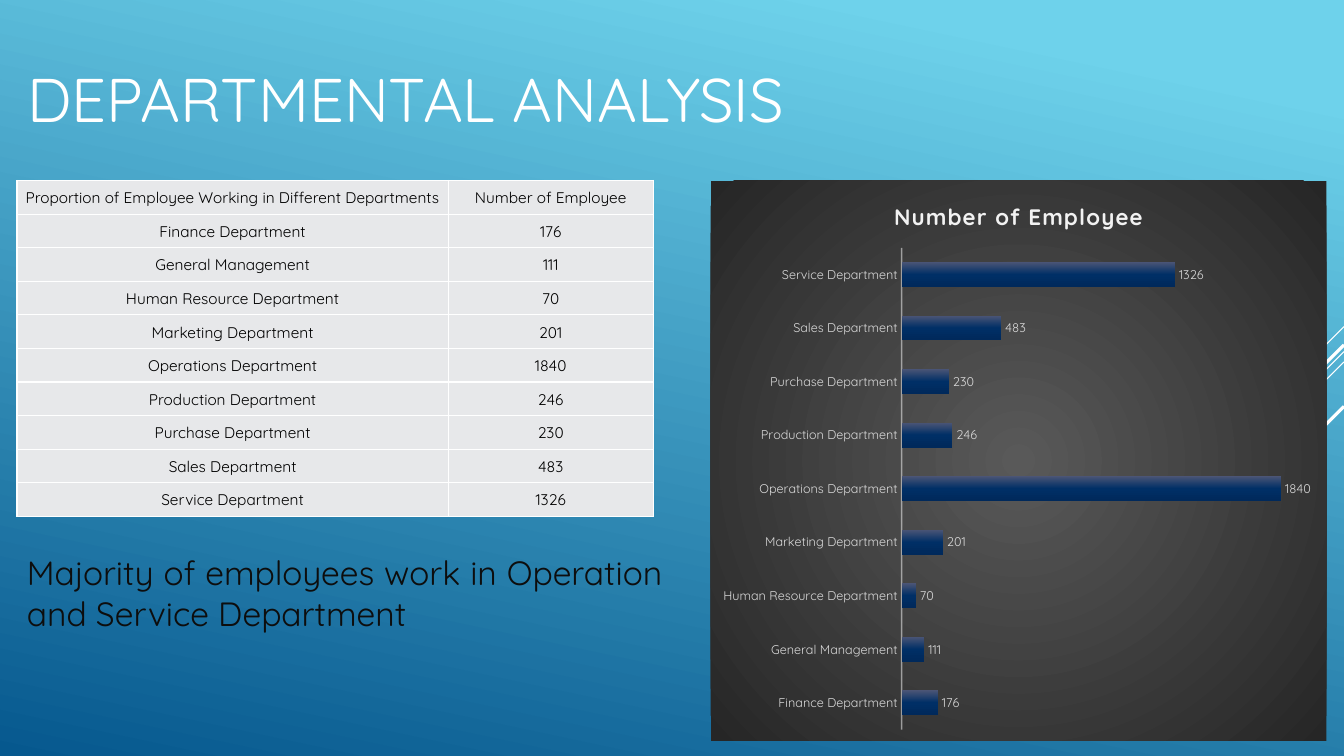
from dataclasses import dataclass

from lxml.etree import SubElement
from pptx import Presentation
from pptx.chart.data import CategoryChartData
from pptx.dml.color import RGBColor
from pptx.enum.chart import XL_CHART_TYPE as ChartType
from pptx.enum.chart import XL_LABEL_POSITION as LabelPos
from pptx.enum.chart import XL_TICK_MARK as Tick
from pptx.enum.shapes import MSO_CONNECTOR as Connector
from pptx.enum.text import MSO_ANCHOR as Anchor
from pptx.enum.text import MSO_AUTO_SIZE as AutoSize
from pptx.enum.text import PP_ALIGN as Align
from pptx.oxml.ns import qn
from pptx.util import Cm, Pt


@dataclass(frozen=True)
class Theme:
    font: str = "Quicksand"
    white: str = "FFFFFF"
    black: str = "000000"
    body: str = "0D0D0D"
    cell: str = "E7E8EA"
    chart_title: str = "F2F2F2"
    chart_text: str = "D9D9D9"
    backdrop: tuple = ((10, "6ED2EB"), (100, "06588E"))
    panel: tuple = ((0, "595959"), (100, "262626"))
    bar: tuple = ((0, "4B5576"), (50, "002F66"), (100, "00295B"))
    title_pt: float = 44
    body_pt: float = 24
    table_pt: float = 11
    chart_title_pt: float = 16
    chart_pt: float = 10
    label_pt: float = 9


THEME = Theme()
WIDTH, HEIGHT = 33.87, 19.05
HEADERS = ("Proportion of Employee Working in Different Departments", "Number of Employee")
STAFF = {
    "Finance Department": 176,
    "General Management": 111,
    "Human Resource Department": 70,
    "Marketing Department": 201,
    "Operations Department": 1840,
    "Production Department": 246,
    "Purchase Department": 230,
    "Sales Department": 483,
    "Service Department": 1326,
}


def style(font, size, color, bold=False):
    font.name, font.size, font.bold = THEME.font, Pt(size), bold
    font.color.rgb = RGBColor.from_string(color)


def node(parent, tag, **attrs):
    return SubElement(parent, qn(tag), {k: str(v) for k, v in attrs.items()})


def add_gradient(holder, stops, angle=None):
    for solid in holder.findall(qn("a:solidFill")):
        holder.remove(solid)
    grad = node(holder, "a:gradFill", rotWithShape=1)
    holder.insert(0, grad)
    gs_list = node(grad, "a:gsLst")
    for pos, color in stops:
        node(node(gs_list, "a:gs", pos=pos * 1000), "a:srgbClr", val=color)
    if angle is None:
        circle = node(grad, "a:path", path="circle")
        node(circle, "a:fillToRect", l=50000, t=50000, r=50000, b=50000)
    else:
        node(grad, "a:lin", ang=angle * 60000, scaled=0)


def add_background(slide):
    slide.background.fill.solid()
    add_gradient(slide._element.find(".//" + qn("p:bgPr")), THEME.backdrop, 102)


def add_diagonals(slide, right):
    rays = ((8.23, 2.54, 0.75), (8.86, 8.28, 0.75), (9.12, 5.26, 0.75),
            (8.69, 4.85, 2.25), (10.24, 3.53, 2.25))
    for top, reach, weight in rays:
        line = slide.shapes.add_connector(
            Connector.STRAIGHT, Cm(right), Cm(top), Cm(right - reach), Cm(top + reach))
        line.line.color.rgb = RGBColor.from_string(THEME.white)
        line.line.width = Pt(weight)
        node(line._element.spPr, "a:effectLst")


def add_title(slide, x, y, w, h):
    sp = slide.shapes.title
    sp.left, sp.top, sp.width, sp.height = Cm(x), Cm(y), Cm(w), Cm(h)
    tf = sp.text_frame
    tf.text = "DEPARTMENTAL ANALYSIS"
    tf.auto_size, tf.vertical_anchor = AutoSize.NONE, Anchor.MIDDLE
    p = tf.paragraphs[0]
    p.alignment = Align.LEFT
    style(p.font, THEME.title_pt, THEME.white)


def fill_cell(cell, text):
    cell.text = text
    cell.vertical_anchor = Anchor.MIDDLE
    cell.margin_left = cell.margin_right = cell.margin_top = Cm(0.03)
    cell.margin_bottom = 0
    p = cell.text_frame.paragraphs[0]
    p.alignment = Align.CENTER
    style(p.font, THEME.table_pt, THEME.black)
    tc_pr = cell._tc.get_or_add_tcPr()
    for side in ("a:lnL", "a:lnR", "a:lnT", "a:lnB"):
        border = node(tc_pr, side, w=Pt(1))
        node(node(border, "a:solidFill"), "a:srgbClr", val=THEME.white)
    cell.fill.solid()
    cell.fill.fore_color.rgb = RGBColor.from_string(THEME.cell)


def add_staff_table(slide, x, y, w, h):
    rows = [HEADERS, *STAFF.items()]
    frame = slide.shapes.add_table(len(rows), 2, Cm(x), Cm(y), Cm(w), Cm(h))
    table = frame.table
    table.first_row = table.horz_banding = False
    first_col = 10.87
    table.columns[0].width = Cm(first_col)
    table.columns[1].width = Cm(w - first_col)
    for row, values in zip(table.rows, rows):
        row.height = Cm(h / len(rows))
        for cell, value in zip(row.cells, values):
            fill_cell(cell, str(value))


def place_plot(chart, x, y, w, h):
    plot_area = chart._chartSpace.find(".//" + qn("c:plotArea"))
    for old in plot_area.findall(qn("c:layout")):
        plot_area.remove(old)
    layout = node(plot_area, "c:layout")
    plot_area.insert(0, layout)
    manual = node(layout, "c:manualLayout")
    node(manual, "c:layoutTarget", val="inner")
    for tag in ("c:xMode", "c:yMode"):
        node(manual, tag, val="edge")
    for tag, value in zip(("c:x", "c:y", "c:w", "c:h"), (x, y, w, h)):
        node(manual, tag, val=value)


def add_staff_chart(slide, x, y, w, h):
    data = CategoryChartData()
    data.categories = list(STAFF)
    data.add_series(HEADERS[1], list(STAFF.values()))
    chart = slide.shapes.add_chart(
        ChartType.BAR_CLUSTERED, Cm(x), Cm(y), Cm(w), Cm(h), data).chart
    style(chart.font, THEME.chart_pt, THEME.white)
    chart.has_legend = False
    space = chart._chartSpace
    panel = node(space, "c:spPr")
    space.find(qn("c:chart")).addnext(panel)
    add_gradient(panel, THEME.panel)
    node(node(panel, "a:ln"), "a:noFill")

    chart.has_title = True
    tf = chart.chart_title.text_frame
    tf.text = HEADERS[1]
    p = tf.paragraphs[0]
    style(p.font, THEME.chart_title_pt, THEME.chart_title, True)
    p._p.find(".//" + qn("a:defRPr")).set("spc", "100")
    chart.chart_title.include_in_layout = False

    axis = chart.category_axis
    axis.major_tick_mark = axis.minor_tick_mark = Tick.NONE
    style(axis.tick_labels.font, THEME.label_pt, THEME.chart_text)
    line = axis.format.line
    line.width = Pt(1)
    line.color.rgb = RGBColor.from_string(THEME.chart_title)
    color = axis._element.find(qn("c:spPr")).find(".//" + qn("a:srgbClr"))
    node(color, "a:alpha", val=54000)
    values = chart.value_axis
    values.minimum_scale, values.maximum_scale = 0, 2000
    values.has_major_gridlines = values.visible = False

    plot = chart.plots[0]
    plot.gap_width, plot.overlap, plot.vary_by_categories = 115, -20, False
    series = plot.series[0]
    series.invert_if_negative = False
    series.format.fill.solid()
    add_gradient(series._element.find(qn("c:spPr")), THEME.bar, 90)
    plot.has_data_labels = True
    labels = plot.data_labels
    labels.show_value, labels.position = True, LabelPos.OUTSIDE_END
    style(labels.font, THEME.label_pt, THEME.chart_text)
    place_plot(chart, 0.31, 0.12, 0.67, 0.86)


def add_finding(slide, x, y, w, h):
    tf = slide.shapes.add_textbox(Cm(x), Cm(y), Cm(w), Cm(h)).text_frame
    tf.word_wrap, tf.auto_size = True, AutoSize.SHAPE_TO_FIT_TEXT
    tf.text = "Majority of employees work in Operation and Service Department"
    p = tf.paragraphs[0]
    p.alignment = Align.JUSTIFY
    style(p.font, THEME.body_pt, THEME.body)


def main():
    prs = Presentation()
    prs.slide_width, prs.slide_height = Cm(WIDTH), Cm(HEIGHT)
    slide = prs.slides.add_slide(prs.slide_layouts[5])
    left, top = 0.43, 4.55
    add_background(slide)
    add_diagonals(slide, WIDTH)
    add_title(slide, left, 0.36, 23.7, 4.19)
    add_staff_table(slide, left, top, 16.03, 8.46)
    add_staff_chart(slide, 17.91, top, 15.52, 14.12)
    add_finding(slide, left, 13.79, 16.51, 2.31)
    prs.save("out.pptx")


if __name__ == "__main__":
    main()
